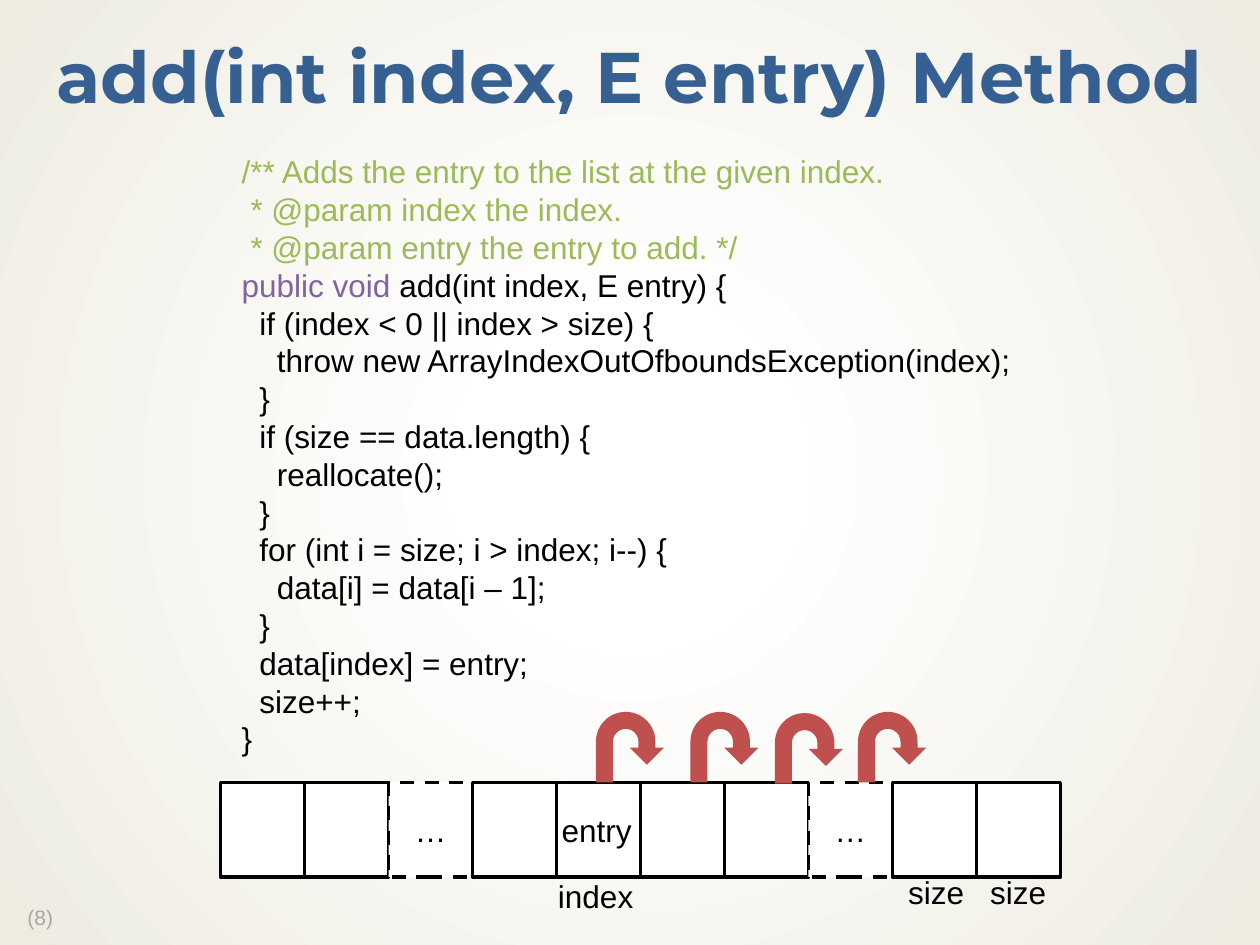
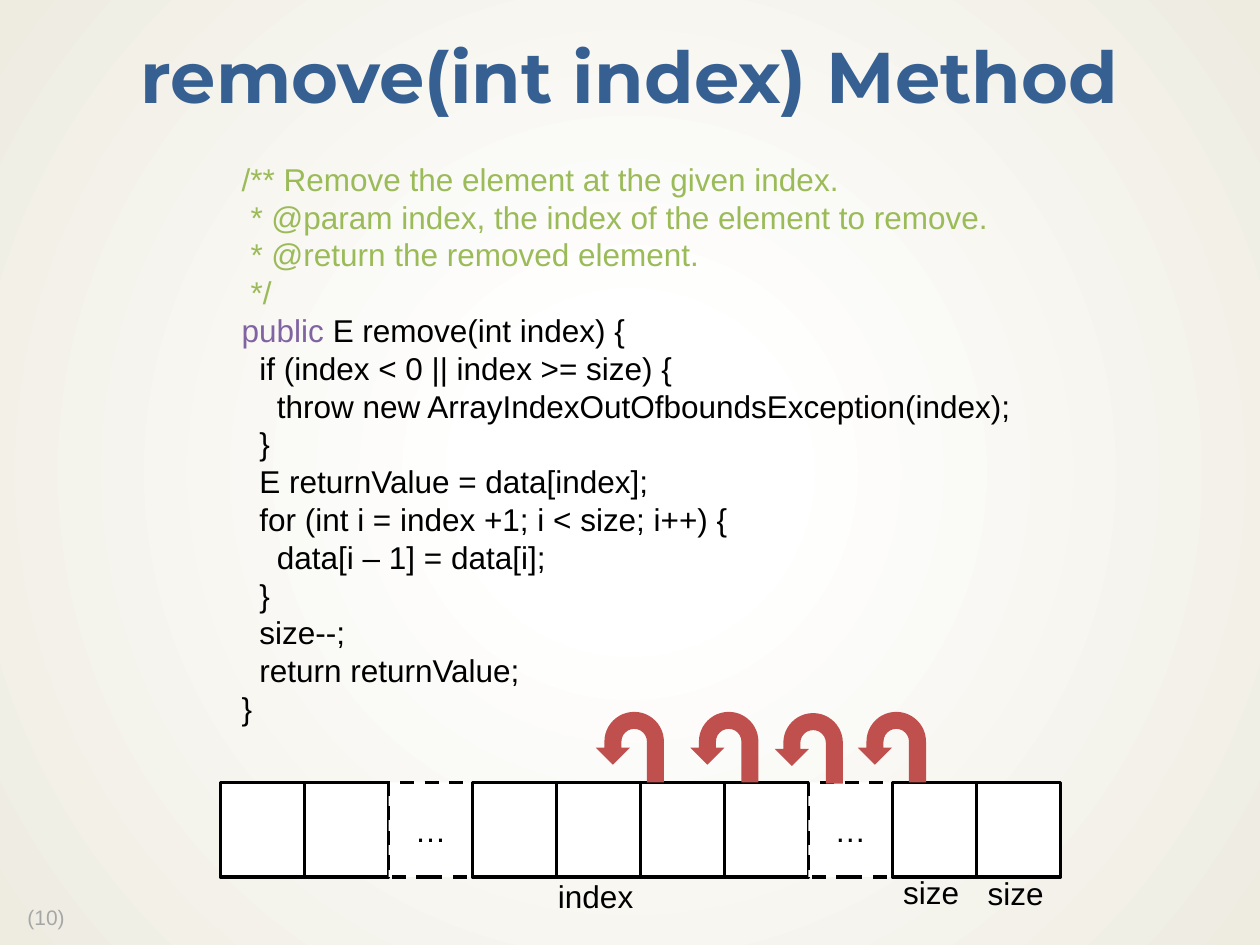
from dataclasses import dataclass

from lxml import etree
from pptx import Presentation
from pptx.dml.color import RGBColor
from pptx.enum.dml import MSO_LINE_DASH_STYLE as Dash
from pptx.enum.shapes import MSO_SHAPE as Shape
from pptx.enum.text import MSO_ANCHOR as Anchor, PP_ALIGN as Align
from pptx.oxml.ns import nsdecls
from pptx.util import Inches, Pt

TITLE, COMMENT, KEYWORD = "376092", "9BBB59", "8064A2"
BLACK, WHITE, GREY, RED, CREAM = "000000", "FFFFFF", "A6A6A6", "C0504D", "EEECE1"
HEAD_FONT, BODY_FONT = "Montserrat", "Arial"

CODE_LEFT, CODE_WIDTH = 1.82, 6.36
INDENT = 0.07  # width of one column of code indentation
ROW_LEFT, ROW_TOP = 1.75, 6.21
CELL_COUNT, CELL_WIDTH, CELL_HEIGHT = 10, 2 / 3, 0.75
ELLIPSIS_CELLS = (2, 7)
ARROWS = ((4.73, 5.65), (5.48, 5.65), (6.15, 5.66), (6.81, 5.65))


@dataclass
class Label:
    text: str
    left: float
    top: float
    width: float = 0.65


@dataclass
class MethodSlide:
    title: str
    number: int
    code_top: float
    code_height: float
    keyword: str
    code: str
    labels: list[Label]
    shifts_left: bool = False


INDEX_LABEL = Label("index", 4.33, 6.91, 0.81)

SLIDES = [
    MethodSlide(
        "add(int index, E entry) Method", 8, 1.16, 4.95, "public void ",
        """/** Adds the entry to the list at the given index.
 * @param index the index.
 * @param entry the entry to add. */
public void add(int index, E entry) {
  if (index < 0 || index > size) {
    throw new ArrayIndexOutOfboundsException(index);
  }
  if (size == data.length) {
    reallocate();
  }
  for (int i = size; i > index; i--) {
    data[i] = data[i – 1];
  }
  data[index] = entry;
  size++;
}""",
        [INDEX_LABEL, Label("size", 7.11, 6.88), Label("size", 7.76, 6.88),
         Label("entry", 4.36, 6.39, 0.76)]),
    MethodSlide(
        "remove(int index) Method", 10, 1.22, 4.64, "public ",
        """/** Remove the element at the given index.
 * @param index, the index of the element to remove.
 * @return the removed element.
 */
public E remove(int index) {
  if (index < 0 || index >= size) {
    throw new ArrayIndexOutOfboundsException(index);
  }
  E returnValue = data[index];
  for (int i = index +1; i < size; i++) {
    data[i – 1] = data[i];
  }
  size--;
  return returnValue;
}""",
        [INDEX_LABEL, Label("size", 7.74, 6.89), Label("size", 7.07, 6.88)],
        shifts_left=True),
]


def rgb(value: str) -> RGBColor:
    return RGBColor.from_string(value)


def format_run(r, color: str = BLACK, size: int = 18,
               font: str = BODY_FONT, bold: bool = False) -> None:
    r.font.name, r.font.size, r.font.bold = font, Pt(size), bold
    r.font.color.rgb = rgb(color)


def set_background(master) -> None:
    """Give the master a round gradient from white to cream."""
    master.background.fill.solid()
    solid = master.element.xpath("./p:cSld/p:bg/p:bgPr/a:solidFill")[0]
    gradient = etree.fromstring(
        f'<a:gradFill {nsdecls("a")} rotWithShape="1"><a:gsLst>'
        f'<a:gs pos="18000"><a:srgbClr val="{WHITE}"><a:alpha val="53000"/></a:srgbClr></a:gs>'
        f'<a:gs pos="100000"><a:srgbClr val="{CREAM}"/></a:gs></a:gsLst>'
        '<a:path path="circle"><a:fillToRect l="50000" t="50000" r="50000" b="50000"/>'
        '</a:path></a:gradFill>')
    solid.getparent().replace(solid, gradient)


def add_title(slide, text: str) -> None:
    s = slide.shapes.title
    s.left, s.top, s.width, s.height = Inches(0), Inches(0.17), Inches(10), Inches(0.94)
    tf = s.text_frame
    tf.text = text
    tf.vertical_anchor = Anchor.MIDDLE
    tf.margin_left = tf.margin_right = Inches(0.13)
    tf.margin_top = tf.margin_bottom = Inches(0.06)
    p = tf.paragraphs[0]
    p.alignment, p.line_spacing = Align.CENTER, 0.9
    format_run(p.runs[0], TITLE, 41, HEAD_FONT, True)


def add_text_box(slide, left: float, top: float, width: float, height: float):
    s = slide.shapes.add_textbox(Inches(left), Inches(top), Inches(width), Inches(height))
    s.text_frame.word_wrap = False
    return s.text_frame


def add_number(slide, number: int) -> None:
    tf = add_text_box(slide, 0.12, 7.15, 0.56, 0.28)
    tf.word_wrap = True
    tf.text = f"({number})"
    tf.paragraphs[0].line_spacing = 0.9
    format_run(tf.paragraphs[0].runs[0], GREY, 12)


def add_code(slide, method: MethodSlide) -> None:
    tf = add_text_box(slide, CODE_LEFT, method.code_top, CODE_WIDTH, method.code_height)
    for i, line in enumerate(method.code.splitlines()):
        p = tf.add_paragraph() if i else tf.paragraphs[0]
        text = line.lstrip()
        p._p.get_or_add_pPr().set("marL", str(Inches(INDENT * (len(line) - len(text)))))
        if text.startswith(method.keyword):
            parts = [(method.keyword, KEYWORD), (text.removeprefix(method.keyword), BLACK)]
        else:
            parts = [(text, COMMENT if text.startswith(("/*", "*")) else BLACK)]
        for part, color in parts:
            r = p.add_run()
            r.text = part
            format_run(r, color)


def add_filled(slide, kind, left: float, top: float, width: float, height: float, fill: str):
    s = slide.shapes.add_shape(kind, Inches(left), Inches(top), Inches(width), Inches(height))
    s.shadow.inherit = False
    s.fill.solid()
    s.fill.fore_color.rgb = rgb(fill)
    return s


def add_array(slide) -> None:
    for i in range(CELL_COUNT):
        s = add_filled(slide, Shape.RECTANGLE, ROW_LEFT + i * CELL_WIDTH, ROW_TOP,
                       CELL_WIDTH, CELL_HEIGHT, WHITE)
        s.line.color.rgb, s.line.width = rgb(BLACK), Pt(2)
        if i in ELLIPSIS_CELLS:
            s.line.dash_style = Dash.DASH
            tf = s.text_frame
            tf.text, tf.vertical_anchor = "…", Anchor.MIDDLE
            tf.paragraphs[0].alignment = Align.CENTER
            format_run(tf.paragraphs[0].runs[0])


def add_arrows(slide, shifts_left: bool) -> None:
    for left, top in ARROWS:
        s = add_filled(slide, Shape.U_TURN_ARROW, left, top, 0.54, 0.56, RED)
        s.line.fill.background()
        if shifts_left:
            s._element.spPr.get_or_add_xfrm().set("flipH", "1")


def add_label(slide, label: Label) -> None:
    tf = add_text_box(slide, label.left, label.top, label.width, 0.4)
    tf.text = label.text
    format_run(tf.paragraphs[0].runs[0])


def main() -> None:
    prs = Presentation()
    prs.slide_width, prs.slide_height = Inches(10), Inches(7.5)
    set_background(prs.slide_master)
    for method in SLIDES:
        slide = prs.slides.add_slide(prs.slide_layouts[5])
        add_number(slide, method.number)
        add_title(slide, method.title)
        add_code(slide, method)
        add_array(slide)
        add_arrows(slide, method.shifts_left)
        for label in method.labels:
            add_label(slide, label)
    prs.save("out.pptx")


if __name__ == "__main__":
    main()
